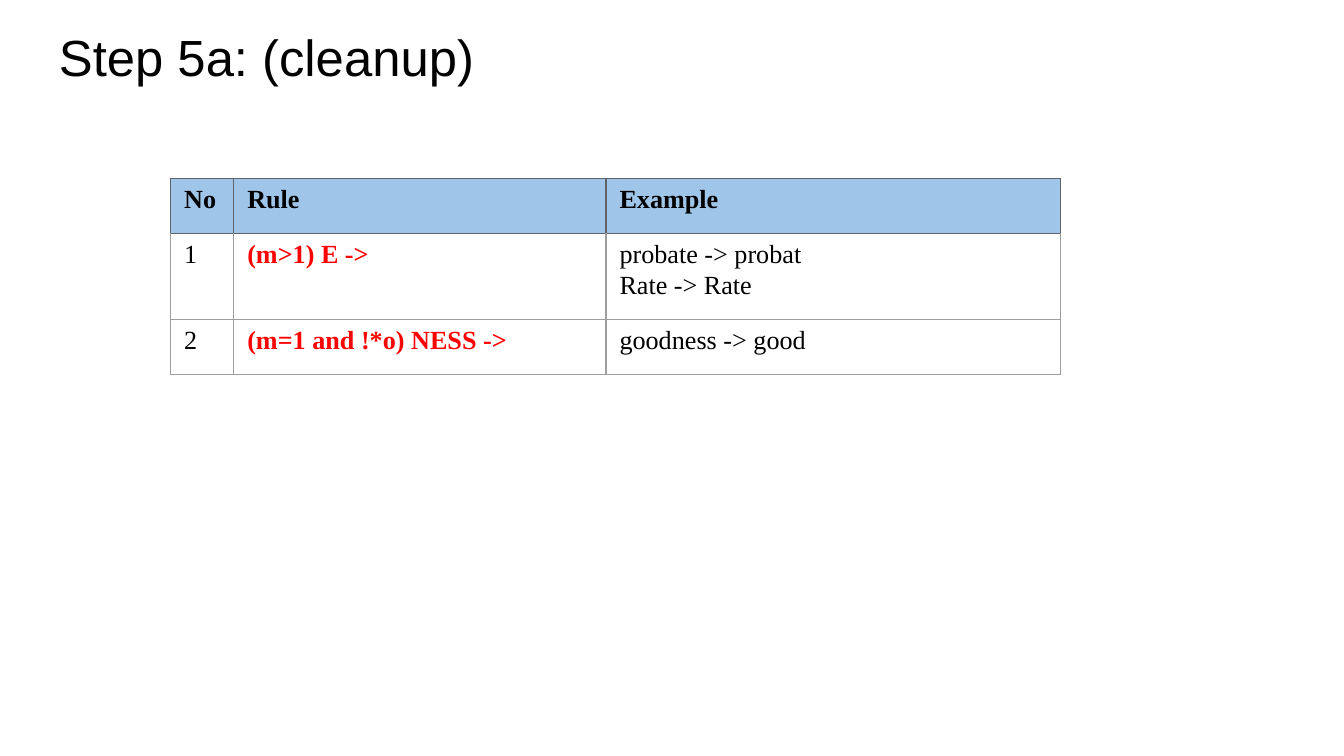
import pptx
import pptx.util
import pptx.dml.color
import pptx.oxml
import pptx.oxml.ns


class Theme:
    black = "000000"
    red = "FF0000"
    blue = "9FC5E8"
    dark = "5F6368"
    gray = "9E9E9E"
    head = 27.2
    body = 14
    sans = "Arial"
    serif = "Times New Roman"


def style(frame, font, size, color, bold=False):
    for para in frame.paragraphs:
        for run in para.runs:
            run.font.name = font
            run.font.size = pptx.util.Pt(size)
            run.font.bold = bold
            run.font.color.rgb = pptx.dml.color.RGBColor.from_string(color)


def border(cell, side, color):
    width = pptx.util.Pt(0.75)
    line = pptx.oxml.parse_xml(
        f'<a:ln{side} {pptx.oxml.ns.nsdecls("a")} w="{width}">'
        f'<a:solidFill><a:srgbClr val="{color}"/></a:solidFill></a:ln{side}>'
    )
    cell._tc.get_or_add_tcPr().append(line)


Inches = pptx.util.Inches
deck = pptx.Presentation()
deck.slide_width = Inches(10)
deck.slide_height = Inches(10 * 9 / 16)
slide = deck.slides.add_slide(deck.slide_layouts[6])

title = slide.shapes.add_textbox(Inches(0.34), Inches(0.09), Inches(9.32), Inches(0.63))
frame = title.text_frame
frame.word_wrap = True
frame.margin_left = frame.margin_right = Inches(0.1)
frame.margin_top = frame.margin_bottom = Inches(0.1)
frame.text = "Step 5a: (cleanup)"
style(frame, Theme.sans, Theme.head, Theme.black)

rules = [
    ["No", "Rule", "Example"],
    ["1", "(m>1) E ->", "probate -> probat\nRate -> Rate"],
    ["2", "(m=1 and !*o) NESS ->", "goodness -> good"],
]
widths = [0.47, 2.77, 3.38]
heights = [0.41, 0.64, 0.41]

table = slide.shapes.add_table(
    len(rules), len(widths), Inches(1.27), Inches(1.33),
    Inches(sum(widths)), Inches(1.18),
).table
for col, width in zip(table.columns, widths):
    col.width = Inches(width)
for row, height in zip(table.rows, heights):
    row.height = Inches(height)

for r, row in enumerate(rules):
    for c, text in enumerate(row):
        cell = table.cell(r, c)
        cell.margin_left = cell.margin_right = Inches(0.1)
        cell.margin_top = cell.margin_bottom = Inches(0.05)
        frame = cell.text_frame
        frame.text = text
        for para in frame.paragraphs[1:]:
            para.space_before = pptx.util.Pt(1)
        color = Theme.red if r > 0 and c == 1 else Theme.black
        style(frame, Theme.serif, Theme.body, color, r == 0 or c == 1)
        for side in "LRTB":
            dark = r == 0 or (r == 1 and side == "T")
            border(cell, side, Theme.dark if dark else Theme.gray)
        if r == 0:
            cell.fill.solid()
            cell.fill.fore_color.rgb = pptx.dml.color.RGBColor.from_string(Theme.blue)
        else:
            cell.fill.background()

deck.save("out.pptx")
